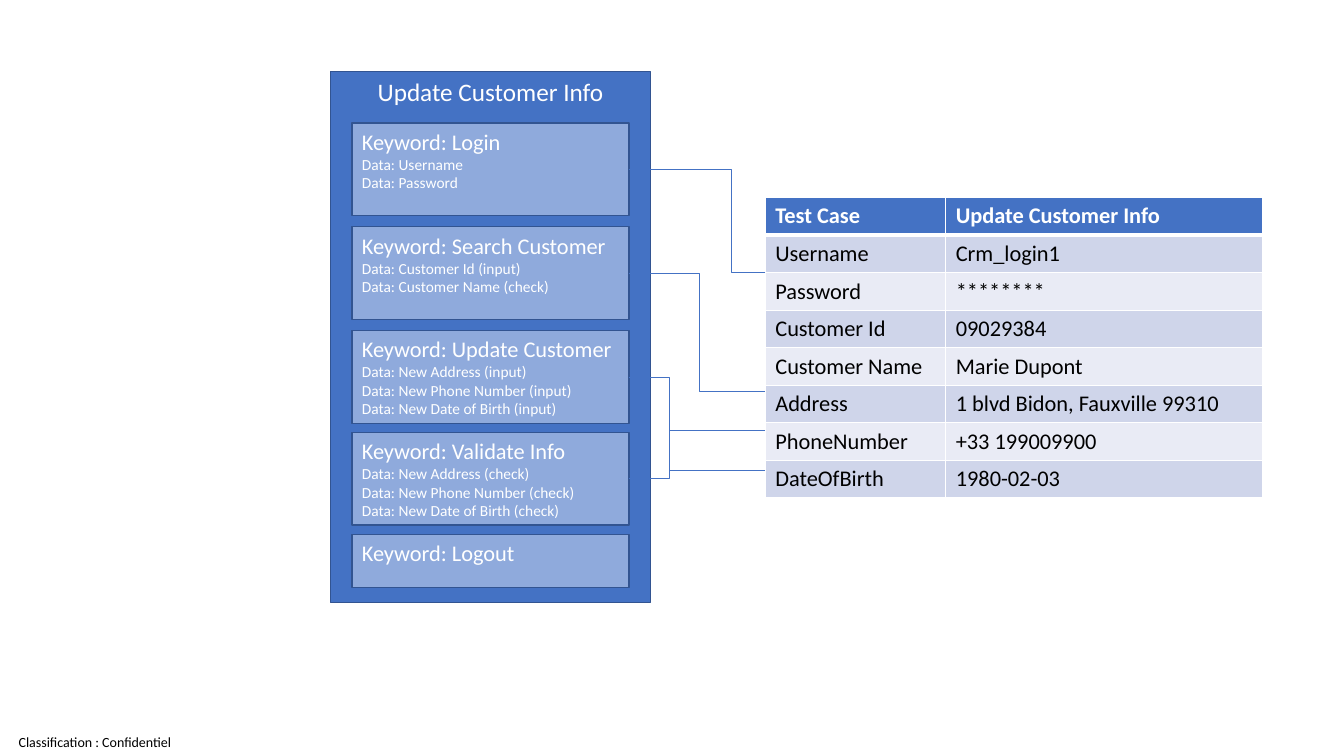
from pptx import Presentation
from pptx.dml.color import RGBColor
from pptx.enum.shapes import MSO_CONNECTOR, MSO_SHAPE
from pptx.enum.text import MSO_ANCHOR, PP_ALIGN
from pptx.oxml.ns import qn
from pptx.util import Inches, Pt
from lxml import etree

RECT = MSO_SHAPE.RECTANGLE
ELBOW = MSO_CONNECTOR.ELBOW
TOP, MIDDLE, BOTTOM = MSO_ANCHOR.TOP, MSO_ANCHOR.MIDDLE, MSO_ANCHOR.BOTTOM
LEFT, CENTER = PP_ALIGN.LEFT, PP_ALIGN.CENTER

FONT = "Calibri"
COLORS = {
    "blue": "4472C4", "light": "8FAADC", "edge": "325491",
    "white": "FFFFFF", "black": "000000",
    "odd": "CFD5EA", "even": "E9EBF5",
}

# Keyword boxes: top, height, title, data lines
BOX_X, BOX_W = 3.49, 2.75
BOXES = [
    (1.22, 0.92, "Login", ["Username", "Password"]),
    (2.25, 0.92, "Search Customer",
     ["Customer Id (input)", "Customer Name (check)"]),
    (3.28, 0.92, "Update Customer",
     ["New Address (input)", "New Phone Number (input)",
      "New Date of Birth (input)"]),
    (4.29, 0.92, "Validate Info",
     ["New Address (check)", "New Phone Number (check)",
      "New Date of Birth (check)"]),
    (5.3, 0.53, "Logout", []),
]

# Links from the first four boxes: end height, share of width at the bend
LINKS = [(2.7, 0.75), (3.88, 0.514), (4.67, 0.299), (4.27, 0.299)]

TABLE_X, TABLE_Y = 7.59, 1.96
COLS = [1.79, 3.14]
ROW_H = 2.98 / 8
ROWS = [
    ("Test Case", "Update Customer Info"),
    ("Username", "Crm_login1"),
    ("Password", "********"),
    ("Customer Id", "09029384"),
    ("Customer Name", "Marie Dupont"),
    ("Address", "1 blvd Bidon, Fauxville 99310"),
    ("PhoneNumber", "+33 199009900"),
    ("DateOfBirth", "1980-02-03"),
]


def rgb(name):
    return RGBColor.from_string(COLORS[name])


def add_run(para, text, size, color, bold=False):
    run = para.add_run()
    run.text = text
    font = run.font
    font.name, font.size, font.bold = FONT, Pt(size), bold
    font.color.rgb = rgb(color)


def add_box(slide, x, y, w, h, fill, lines, align=LEFT):
    """Draw a rectangle with lines of (text, size)."""
    box = slide.shapes.add_shape(RECT, Inches(x), Inches(y),
                                 Inches(w), Inches(h))
    box.shadow.inherit = False
    box.fill.solid()
    box.fill.fore_color.rgb = rgb(fill)
    box.line.color.rgb = rgb("edge")
    box.line.width = Pt(1)
    frame = box.text_frame
    frame.word_wrap = True
    frame.vertical_anchor = TOP
    for i, (text, size) in enumerate(lines):
        para = frame.add_paragraph() if i else frame.paragraphs[0]
        para.alignment = align
        add_run(para, text, size, "white")


def add_link(slide, x1, y1, x2, y2, bend):
    link = slide.shapes.add_connector(ELBOW, Inches(x1), Inches(y1),
                                      Inches(x2), Inches(y2))
    link.line.color.rgb = rgb("blue")
    link.line.width = Pt(0.5)
    props = link._element.spPr
    guides = props.find(qn("a:prstGeom")).get_or_add_avLst()
    etree.SubElement(guides, qn("a:gd"), name="adj1",
                     fmla=f"val {round(bend * 100000)}")
    etree.SubElement(props, qn("a:effectLst"))


def add_border(cell, side, width):
    props = cell._tc.get_or_add_tcPr()
    line = etree.SubElement(props, qn(f"a:ln{side}"), w=str(Pt(width)))
    fill = etree.SubElement(line, qn("a:solidFill"))
    etree.SubElement(fill, qn("a:srgbClr"), val=COLORS["white"])


def add_grid(slide):
    frame = slide.shapes.add_table(
        len(ROWS), len(COLS), Inches(TABLE_X), Inches(TABLE_Y),
        Inches(sum(COLS)), Inches(ROW_H * len(ROWS)))
    table = frame.table
    for col, width in zip(table.columns, COLS):
        col.width = Inches(width)
    for r, row in enumerate(ROWS):
        table.rows[r].height = Inches(ROW_H)
        head = r == 0
        fill = "blue" if head else "odd" if r % 2 else "even"
        for c, text in enumerate(row):
            cell = table.cell(r, c)
            for side in "LRTB":
                thick = (head and side == "B") or (r == 1 and side == "T")
                add_border(cell, side, 3 if thick else 1)
            cell.fill.solid()
            cell.fill.fore_color.rgb = rgb(fill)
            add_run(cell.text_frame.paragraphs[0], text, 16,
                    "white" if head else "black", head)


def add_footer(slide, text):
    box = slide.shapes.add_textbox(Inches(0), Inches(7.04),
                                   Inches(1.88), Inches(0.46))
    frame = box.text_frame
    frame.word_wrap = True
    frame.vertical_anchor = BOTTOM
    frame.margin_left = frame.margin_right = frame.margin_top = 0
    frame.margin_bottom = Inches(0.06)
    para = frame.paragraphs[0]
    para.alignment = CENTER
    add_run(para, text, 10, "black")


def main():
    deck = Presentation()
    deck.slide_width, deck.slide_height = Inches(13.33), Inches(7.5)
    slide = deck.slides.add_slide(deck.slide_layouts[6])

    add_footer(slide, "Classification : Confidentiel")

    # Test case panel with its keywords
    add_box(slide, 3.28, 0.71, 3.17, 5.27, "blue",
            [("Update Customer Info", 18)], CENTER)
    for y, h, name, data in BOXES:
        lines = [(f"Keyword: {name}", 16)]
        lines += [(f"Data: {item}", 11) for item in data]
        add_box(slide, BOX_X, y, BOX_W, h, "light", lines)

    # Data table and the links into it
    add_grid(slide)
    for (y, h, _, _), (end, bend) in zip(BOXES, LINKS):
        add_link(slide, BOX_X + BOX_W, y + h / 2, TABLE_X, end, bend)

    deck.save("out.pptx")


if __name__ == "__main__":
    main()
